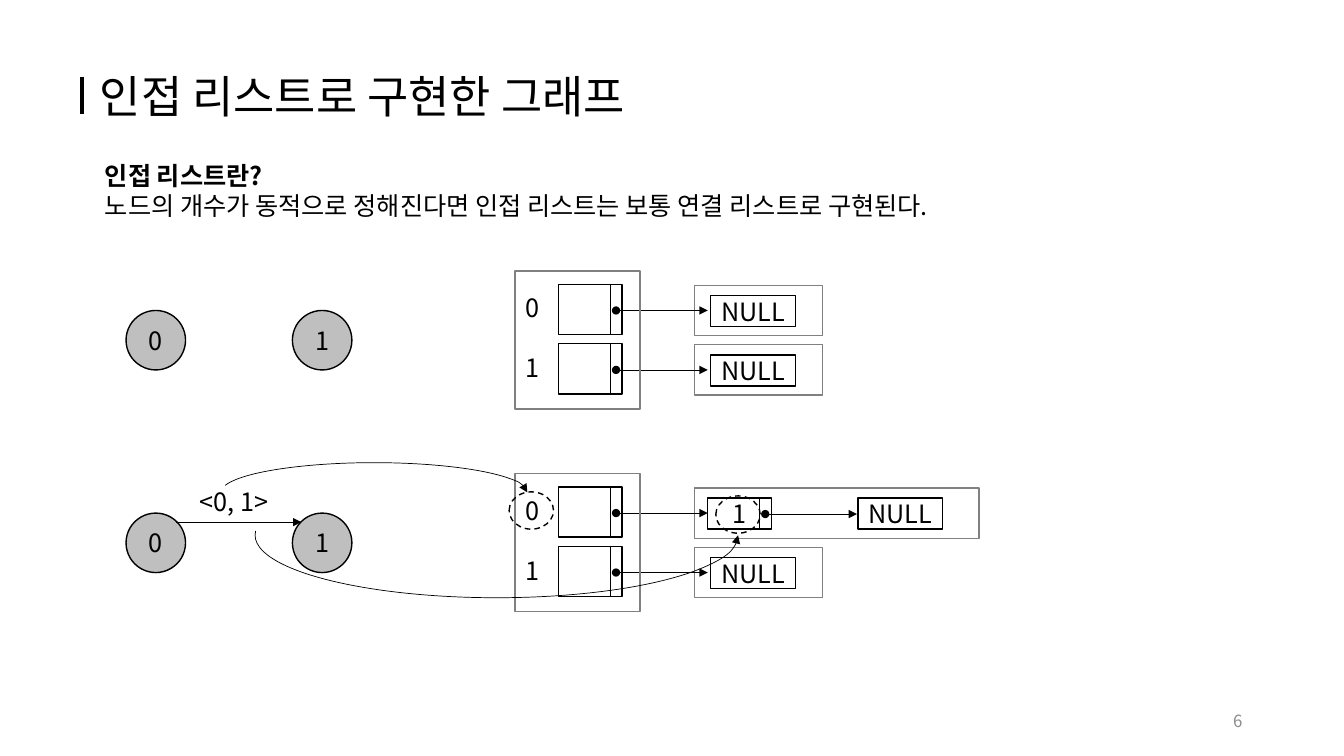
import dataclasses
import typing

import pptx
import pptx.dml.color
import pptx.enum.dml
import pptx.enum.shapes
import pptx.enum.text
import pptx.oxml.xmlchemy
import pptx.util

Inches = pptx.util.Inches
Pt = pptx.util.Pt
SHAPE = pptx.enum.shapes.MSO_SHAPE
ALIGN = pptx.enum.text.PP_ALIGN
ANCHOR = pptx.enum.text.MSO_ANCHOR

FONT = "Noto Sans CJK KR"
COLORS = {"black": "000000", "frame": "808080", "node": "BFBFBF", "page": "8C8C8C"}
ROW_PITCH = 0.59


@dataclasses.dataclass
class Box:
    x: float
    y: float
    w: float
    h: float
    text: str = ""
    kind: typing.Any = SHAPE.RECTANGLE
    fill: str = ""
    line: str = "black"
    dashed: bool = False


@dataclasses.dataclass
class Line:
    x1: float
    y1: float
    x2: float
    y2: float
    width: float = 0.5
    head: str = ""
    tail: str = ""


@dataclasses.dataclass
class Arc:
    x: float
    y: float
    w: float
    h: float
    start: float
    flipped: bool = False


@dataclasses.dataclass
class Graph:
    top: float
    has_edge: bool


def rgb(name: str) -> pptx.dml.color.RGBColor:
    return pptx.dml.color.RGBColor.from_string(COLORS[name])


def add_xml(parent: typing.Any, tag: str, **attrs: str) -> None:
    child = pptx.oxml.xmlchemy.OxmlElement(tag)
    for key, value in attrs.items():
        child.set(key, value)
    parent.append(child)


def format_text(tf: typing.Any, size: float, color: str = "black",
                align: typing.Any = ALIGN.LEFT) -> None:
    for p in tf.paragraphs:
        p.alignment = align
        p.space_before = Pt(0)
        for r in p.runs:
            r.font.size = Pt(size)
            r.font.name = FONT
            r.font.color.rgb = rgb(color)
            add_xml(r.font._element, "a:ea", typeface=FONT)


def add_ends(line: typing.Any, head: str, tail: str) -> None:
    ln = line._get_or_add_ln()
    if head:
        add_xml(ln, "a:headEnd", type=head)
    if tail:
        add_xml(ln, "a:tailEnd", type=tail)


def place(shape: typing.Any, x: float, y: float, w: float, h: float) -> None:
    shape.left, shape.top = Inches(x), Inches(y)
    shape.width, shape.height = Inches(w), Inches(h)


def add_box(s: typing.Any, box: Box) -> None:
    sp = s.shapes.add_shape(box.kind, Inches(box.x), Inches(box.y), Inches(box.w), Inches(box.h))
    sp.shadow.inherit = False
    if box.fill:
        sp.fill.solid()
        sp.fill.fore_color.rgb = rgb(box.fill)
    else:
        sp.fill.background()
    sp.line.color.rgb = rgb(box.line)
    sp.line.width = Pt(1)
    if box.dashed:
        sp.line.dash_style = pptx.enum.dml.MSO_LINE.DASH
    if box.text:
        tf = sp.text_frame
        tf.text = box.text
        tf.word_wrap = False
        tf.vertical_anchor = ANCHOR.MIDDLE
        format_text(tf, 18, align=ALIGN.CENTER)


def add_line(s: typing.Any, line: Line) -> None:
    c = s.shapes.add_connector(pptx.enum.shapes.MSO_CONNECTOR.STRAIGHT, Inches(line.x1),
                               Inches(line.y1), Inches(line.x2), Inches(line.y2))
    c.line.color.rgb = rgb("black")
    c.line.width = Pt(line.width)
    add_ends(c.line, line.head, line.tail)
    add_xml(c._element.spPr, "a:effectLst")


def add_pointer(s: typing.Any, x: float, y: float) -> None:
    add_line(s, Line(x, y, x + 0.91, y, head="oval", tail="triangle"))


def add_arc(s: typing.Any, arc: Arc) -> None:
    sp = s.shapes.add_shape(SHAPE.ARC, Inches(arc.x), Inches(arc.y), Inches(arc.w), Inches(arc.h))
    sp.shadow.inherit = False
    sp.adjustments[0] = arc.start
    sp.adjustments[1] = 0
    sp.fill.background()
    sp.line.color.rgb = rgb("black")
    sp.line.width = Pt(0.5)
    add_ends(sp.line, "", "triangle")
    if arc.flipped:
        sp._element.spPr.xfrm.set("flipV", "1")


def add_text(s: typing.Any, text: str, x: float, y: float, w: float, h: float) -> typing.Any:
    tf = s.shapes.add_textbox(Inches(x), Inches(y), Inches(w), Inches(h)).text_frame
    tf.text = text
    tf.word_wrap = False
    format_text(tf, 18)
    return tf


def add_graph(s: typing.Any, graph: Graph) -> None:
    top = graph.top
    for x, label in ((1.25, "0"), (2.9, "1")):
        add_box(s, Box(x, top + 0.39, 0.59, 0.59, label, SHAPE.OVAL, "node"))
    indices = add_text(s, "0\n1", 5.11, top + 0.16, 0.35, 1.01)
    indices.paragraphs[1].space_before = Pt(21.5)
    for row in range(2):
        y = top + 0.13 + row * ROW_PITCH
        linked = graph.has_edge and row == 0
        add_box(s, Box(5.54, y, 0.63, 0.5))
        add_line(s, Line(6.05, y, 6.05, y + 0.5))
        add_box(s, Box(6.89, y + 0.01, 2.82 if linked else 1.27, 0.5, line="frame"))
        add_box(s, Box(8.51 if linked else 7.05, y + 0.11, 0.84, 0.31, "NULL"))
        add_pointer(s, 6.11, y + 0.26)
    add_box(s, Box(5.11, top, 1.24, 1.37, line="frame"))


def add_headings(s: typing.Any) -> None:
    title, body = s.shapes.title, s.placeholders[1]
    place(title, 0.89, 0.63, 7.98, 0.64)
    place(body, 0.94, 1.54, 10.47, 0.71)
    title.text_frame.text = "인접 리스트로 구현한 그래프"
    body.text_frame.text = "인접 리스트란?\n노드의 개수가 동적으로 정해진다면 인접 리스트는 보통 연결 리스트로 구현된다."
    for sp, size in ((title, 32), (body, 18)):
        tf = sp.text_frame
        tf.auto_size = pptx.enum.text.MSO_AUTO_SIZE.NONE
        tf.vertical_anchor = ANCHOR.TOP
        format_text(tf, size)
    for p in body.text_frame.paragraphs:
        pPr = p._p.get_or_add_pPr()
        pPr.set("marL", "0")
        pPr.set("indent", "0")
        add_xml(pPr, "a:buNone")
    body.text_frame.paragraphs[0].runs[0].font.bold = True
    add_line(s, Line(0.81, 0.76, 0.81, 1.13, width=3))
    page = add_text(s, "6", 9.42, 6.95, 3, 0.4)
    page.word_wrap = True
    page.vertical_anchor = ANCHOR.MIDDLE
    format_text(page, 12, "page", ALIGN.RIGHT)


def add_edge(s: typing.Any) -> None:
    add_line(s, Line(1.75, 5.18, 2.99, 5.18, tail="triangle"))
    add_text(s, "<0, 1>", 1.88, 4.78, 0.98, 0.4)
    add_box(s, Box(7.02, 4.94, 0.63, 0.31, "1"))
    add_line(s, Line(7.53, 4.94, 7.53, 5.25))
    add_pointer(s, 7.59, 5.1)
    add_arc(s, Arc(2.19, 4.59, 3.04, 0.59, 109.62))
    add_arc(s, Arc(2.53, 4.69, 4.79, 1.24, 107.39, flipped=True))
    for x, y in ((7.1, 4.92), (5.05, 4.88)):
        add_box(s, Box(x, y, 0.44, 0.37, kind=SHAPE.OVAL, dashed=True))


def main() -> None:
    prs = pptx.Presentation()
    prs.slide_width, prs.slide_height = Inches(13.33), Inches(7.5)
    s = prs.slides.add_slide(prs.slide_layouts[1])
    add_headings(s)
    for graph in (Graph(2.69, False), Graph(4.7, True)):
        add_graph(s, graph)
    add_edge(s)
    prs.save("out.pptx")


if __name__ == "__main__":
    main()
